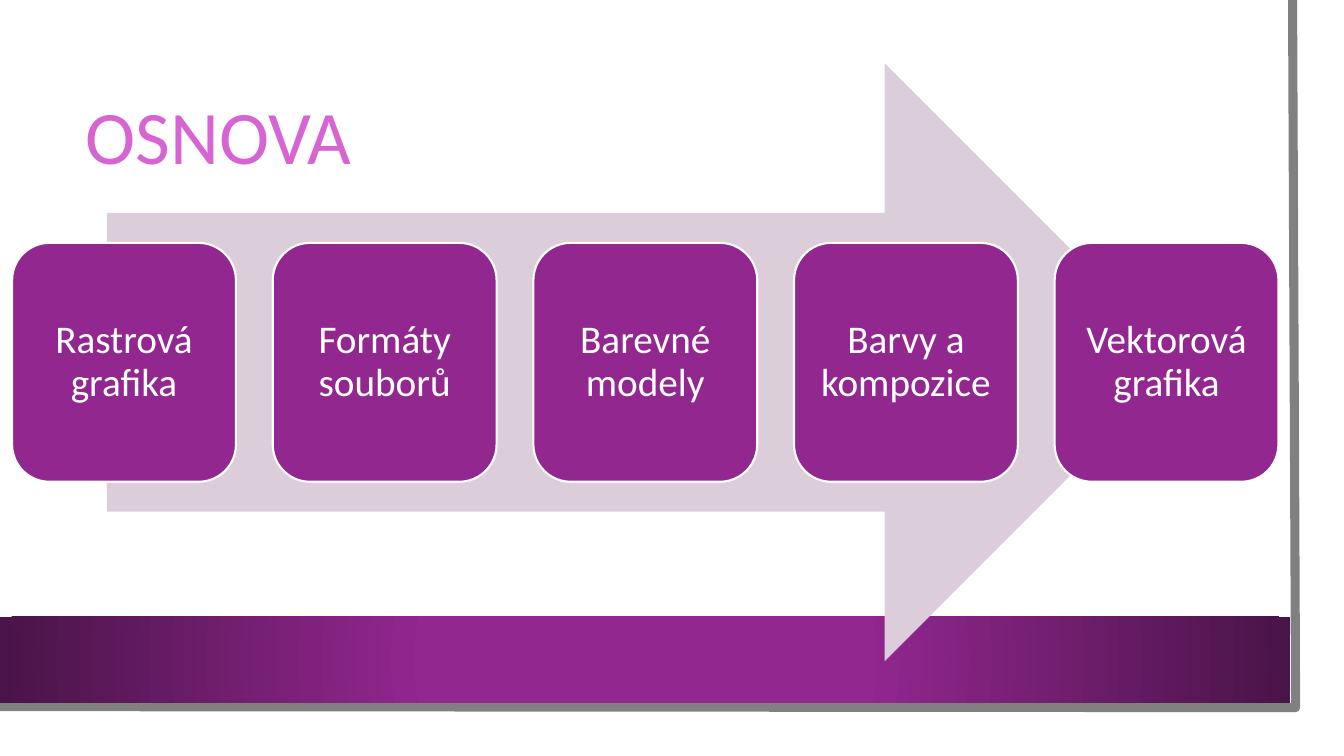
from dataclasses import dataclass

from lxml.etree import SubElement
from pptx import Presentation
from pptx.dml.color import RGBColor
from pptx.enum.shapes import MSO_SHAPE as Preset
from pptx.enum.text import MSO_ANCHOR as Anchor, PP_ALIGN as Align
from pptx.oxml.ns import qn
from pptx.shapes.autoshape import Shape
from pptx.slide import Slide
from pptx.text.text import TextFrame
from pptx.util import Inches, Pt

COLORS = {
    "white": "FFFFFF",
    "frame": "808080",
    "purple": "92278F",
    "dark": "491447",
    "title": "D665D3",
    "arrow": "DCCDDB",
}
FONT = "Calibri"


@dataclass(frozen=True)
class Box:
    left: float
    top: float
    width: float
    height: float

    def lengths(self) -> list[Inches]:
        return [Inches(v) for v in (self.left, self.top, self.width, self.height)]


@dataclass(frozen=True)
class Topic:
    label: str
    box: Box


FIRST_LEFT, PITCH = 0.12, 2.585
LABELS = ["Rastrová grafika", "Formáty souborů", "Barevné modely",
          "Barvy a kompozice", "Vektorová grafika"]
TOPICS = [Topic(label, Box(FIRST_LEFT + i * PITCH, 2.41, 2.22, 2.37))
          for i, label in enumerate(LABELS)]


def rgb(name: str) -> RGBColor:
    return RGBColor.from_string(COLORS[name])


def add_block(slide: Slide, preset: Preset, box: Box, color: str) -> Shape:
    block = slide.shapes.add_shape(preset, *box.lengths())
    block.shadow.inherit = False
    block.fill.solid()
    block.fill.fore_color.rgb = rgb(color)
    block.line.fill.background()
    return block


def write(frame: TextFrame, text: str, size: int, color: str, align: Align) -> None:
    frame.word_wrap = True
    frame.vertical_anchor = Anchor.MIDDLE
    paragraph = frame.paragraphs[0]
    paragraph.alignment = align
    paragraph.line_spacing = 0.9
    run = paragraph.add_run()
    run.text = text
    run.font.name = FONT
    run.font.size = Pt(size)
    run.font.color.rgb = rgb(color)


def add_frame(slide: Slide) -> None:
    corners = [(Inches(x), Inches(y))
               for x, y in [(12.82, 0), (12.85, 7.02), (-0.03, 7.01)]]
    builder = slide.shapes.build_freeform(*corners[0])
    builder.add_line_segments(corners[1:], close=False)
    edge = builder.convert_to_shape()
    edge.shadow.inherit = False
    edge.fill.background()
    edge.line.color.rgb = rgb("frame")
    edge.line.width = Pt(6.5)


def add_band(slide: Slide) -> None:
    band = add_block(slide, Preset.RECTANGLE, Box(0, 6.12, 12.8, 0.85), "purple")
    # Radial gradient from the centre outwards
    band.fill.gradient()
    gradient = band.fill._xPr.find(qn("a:gradFill"))
    for child in list(gradient):
        gradient.remove(child)
    stops = SubElement(gradient, qn("a:gsLst"))
    for position, color in [(34, "purple"), (100, "dark")]:
        stop = SubElement(stops, qn("a:gs"), pos=str(position * 1000))
        SubElement(stop, qn("a:srgbClr"), val=COLORS[color])
    circle = SubElement(gradient, qn("a:path"), path="circle")
    SubElement(circle, qn("a:fillToRect"), dict.fromkeys("ltrb", "50000"))


def add_title(slide: Slide) -> None:
    title = slide.shapes.title
    title.left, title.top, title.width, title.height = Box(0.75, 0.75, 11.37, 1.27).lengths()
    write(title.text_frame, "OSNOVA", 54, "title", Align.LEFT)
    # Bring the title in front of the backdrop
    slide.shapes._spTree.append(title._element)


def add_topic(slide: Slide, topic: Topic) -> None:
    card = add_block(slide, Preset.ROUNDED_RECTANGLE, topic.box, "purple")
    card.line.color.rgb = rgb("white")
    card.line.width = Pt(1.5)
    frame = card.text_frame
    frame.margin_left = frame.margin_right = Inches(0.12)
    frame.margin_top = frame.margin_bottom = Inches(0.12)
    write(frame, topic.label, 28, "white", Align.CENTER)


def main() -> None:
    deck = Presentation()
    deck.slide_width, deck.slide_height = Inches(13.33), Inches(7.5)
    slide = deck.slides.add_slide(deck.slide_layouts[5])

    # Backdrop
    add_block(slide, Preset.RECTANGLE, Box(0, 0, 13.1, 7.27), "white")
    add_frame(slide)
    add_band(slide)

    # Title
    add_title(slide)

    # Topics along the arrow
    add_block(slide, Preset.RIGHT_ARROW, Box(1.06, 0.63, 10.68, 5.93), "arrow")
    for topic in TOPICS:
        add_topic(slide, topic)

    deck.save("out.pptx")


if __name__ == "__main__":
    main()
